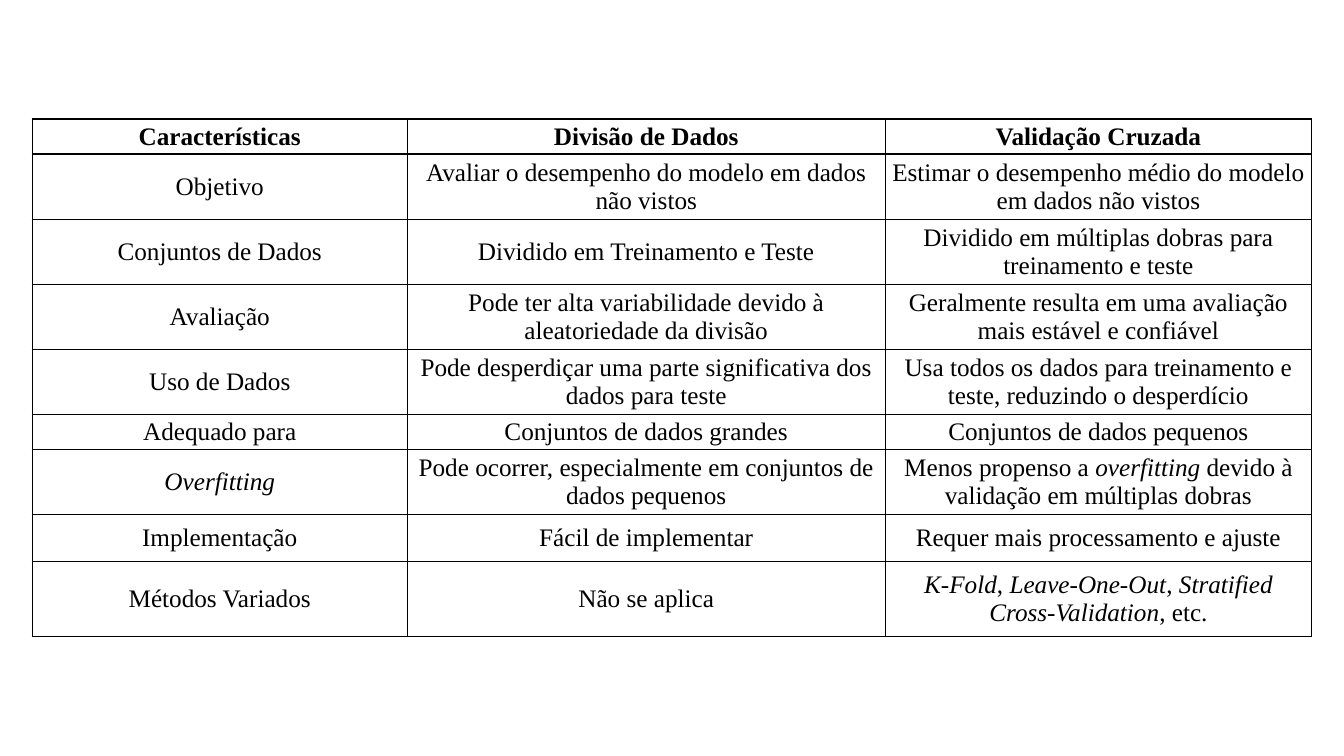
import dataclasses

import lxml.etree
import pptx
import pptx.dml.color
import pptx.enum.text
import pptx.oxml.ns
import pptx.util


@dataclasses.dataclass(frozen=True)
class Theme:
    font: str = "Times New Roman"
    body_size: int = 18
    ink: str = "000000"
    border_width: int = 1
    inset_across: float = 0.05
    inset_down: float = 0.02


COLUMN_WIDTHS = (3.72, 4.74, 4.23)
ROW_WEIGHTS = (7, 13, 13, 13, 13, 7, 13, 9.4, 15)
COMPARISON = (
    ("Características", "Divisão de Dados", "Validação Cruzada"),
    ("Objetivo",
     "Avaliar o desempenho do modelo em dados não vistos",
     "Estimar o desempenho médio do modelo em dados não vistos"),
    ("Conjuntos de Dados",
     "Dividido em Treinamento e Teste",
     "Dividido em múltiplas dobras para treinamento e teste"),
    ("Avaliação",
     "Pode ter alta variabilidade devido à aleatoriedade da divisão",
     "Geralmente resulta em uma avaliação mais estável e confiável"),
    ("Uso de Dados",
     "Pode desperdiçar uma parte significativa dos dados para teste",
     "Usa todos os dados para treinamento e teste, reduzindo o desperdício"),
    ("Adequado para", "Conjuntos de dados grandes", "Conjuntos de dados pequenos"),
    ("*Overfitting*",
     "Pode ocorrer, especialmente em conjuntos de dados pequenos",
     "Menos propenso a *overfitting* devido à validação em múltiplas dobras"),
    ("Implementação", "Fácil de implementar", "Requer mais processamento e ajuste"),
    ("Métodos Variados",
     "Não se aplica",
     "*K-Fold*, *Leave-One-Out*, *Stratified Cross-Validation*, etc."),
)


def write_text(paragraph, text, *, font, size, color, bold=False):
    paragraph.alignment = pptx.enum.text.PP_ALIGN.CENTER
    for index, part in enumerate(text.split("*")):
        if part:
            run = paragraph.add_run()
            run.text = part
            run.font.name = font
            run.font.size = pptx.util.Pt(size)
            run.font.color.rgb = pptx.dml.color.RGBColor.from_string(color)
            run.font.bold = bold
            run.font.italic = index % 2 == 1


class SlideBuilder:
    def __init__(self, presentation, theme):
        self.width = presentation.slide_width
        self.height = presentation.slide_height
        self.theme = theme
        self.slide = presentation.slides.add_slide(presentation.slide_layouts[6])

    def border_cell(self, cell):
        properties = cell._tc.get_or_add_tcPr()
        qualify = pptx.oxml.ns.qn
        for position, side in enumerate(("lnL", "lnR", "lnT", "lnB")):
            line = lxml.etree.Element(qualify(f"a:{side}"))
            line.set("w", str(pptx.util.Pt(self.theme.border_width)))
            fill = lxml.etree.SubElement(line, qualify("a:solidFill"))
            lxml.etree.SubElement(fill, qualify("a:srgbClr")).set("val", self.theme.ink)
            properties.insert(position, line)

    def fill_cell(self, cell, text, bold):
        theme = self.theme
        cell.fill.background()
        cell.vertical_anchor = pptx.enum.text.MSO_ANCHOR.MIDDLE
        cell.margin_left = cell.margin_right = pptx.util.Inches(theme.inset_across)
        cell.margin_top = cell.margin_bottom = pptx.util.Inches(theme.inset_down)
        write_text(cell.text_frame.paragraphs[0], text, font=theme.font,
                   size=theme.body_size, color=theme.ink, bold=bold)
        self.border_cell(cell)

    def add_table(self, rows, column_weights, row_weights, left, top, width, height):
        table_width = round(self.width * width)
        table_height = round(self.height * height)
        table = self.slide.shapes.add_table(
            len(rows), len(column_weights), round(self.width * left),
            round(self.height * top), table_width, table_height).table
        table.first_row = table.horz_banding = False
        for column, weight in zip(table.columns, column_weights):
            column.width = round(table_width * weight / sum(column_weights))
        for row, weight in zip(table.rows, row_weights):
            row.height = round(table_height * weight / sum(row_weights))
        for row_index, texts in enumerate(rows):
            for column_index, text in enumerate(texts):
                self.fill_cell(table.cell(row_index, column_index), text, row_index == 0)


def main():
    presentation = pptx.Presentation()
    presentation.slide_width = pptx.util.Inches(13.33)
    presentation.slide_height = pptx.util.Inches(7.5)
    builder = SlideBuilder(presentation, Theme())
    builder.add_table(COMPARISON, COLUMN_WIDTHS, ROW_WEIGHTS,
                      left=0.32 / 13.33, top=1.18 / 7.5,
                      width=12.69 / 13.33, height=5.14 / 7.5)
    presentation.save("out.pptx")


if __name__ == "__main__":
    main()
